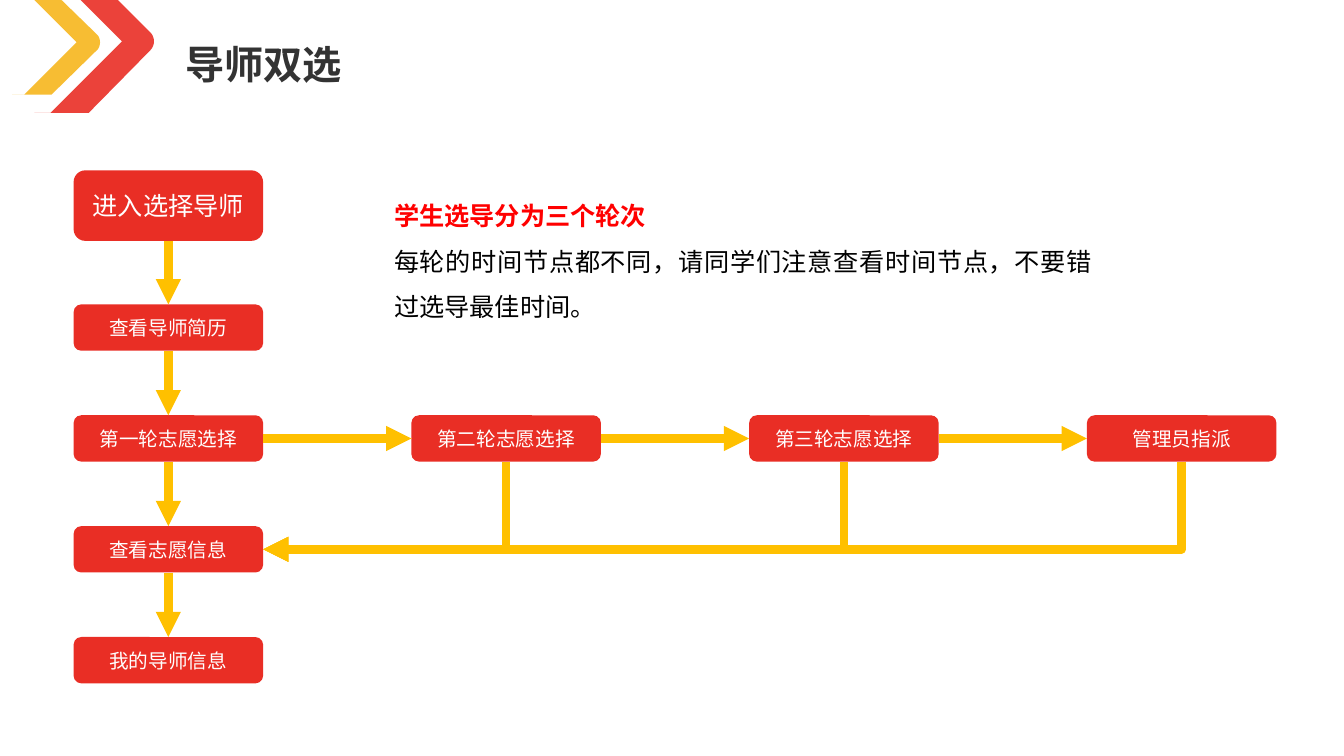
import pptx
import pptx.util
import pptx.dml.color
import pptx.enum.shapes
import pptx.enum.text
import pptx.oxml.ns
from lxml import etree
from dataclasses import dataclass

Inches = pptx.util.Inches
Shape = pptx.enum.shapes.MSO_SHAPE
Link = pptx.enum.shapes.MSO_CONNECTOR
Align = pptx.enum.text.PP_ALIGN
Anchor = pptx.enum.text.MSO_ANCHOR
Fit = pptx.enum.text.MSO_AUTO_SIZE
qn = pptx.oxml.ns.qn

TOP, LEFT, DOWN, RIGHT = range(4)


@dataclass(frozen=True)
class Theme:
    red: str = "E92E25"
    gold: str = "F7B61D"
    arrow: str = "FFC000"
    alert: str = "FF0000"
    dark: str = "333333"
    black: str = "000000"
    white: str = "FFFFFF"
    head: int = 28
    body: int = 18
    small: int = 14
    weight: int = 6
    title: str = "League Spartan"
    label: str = "Arial"
    text: str = "Noto Sans CJK SC"


THEME = Theme()


def rgb(code):
    return pptx.dml.color.RGBColor.from_string(code)


def add_run(para, words, size, color, face, bold=False):
    run = para.add_run()
    run.text = words
    font = run.font
    font.size = pptx.util.Pt(size)
    font.bold = bold
    font.color.rgb = rgb(color)
    font.name = face
    etree.SubElement(run._r.get_or_add_rPr(), qn("a:ea"), typeface=THEME.text)


def paint(shape, color):
    shape.shadow.inherit = False
    shape.fill.solid()
    shape.fill.fore_color.rgb = rgb(color)
    shape.line.fill.background()


# Header: two chevrons and the title
def curve(a, b, c, d, steps=10):
    """Points along a cubic curve from a to d."""
    points = []
    for i in range(steps + 1):
        t = i / steps
        u = 1 - t
        points.append(tuple(u**3 * p + 3 * u * u * t * q + 3 * u * t * t * r + t**3 * s
                            for p, q, r, s in zip(a, b, c, d)))
    return points


def add_chevron(slide, x, y, points, color):
    spots = [(Inches(x + px), Inches(y + py)) for px, py in points]
    pen = slide.shapes.build_freeform(*spots[0])
    pen.add_line_segments(spots[1:], close=True)
    shape = pen.convert_to_shape()
    paint(shape, color)
    tint = shape._element.spPr.find(".//" + qn("a:srgbClr"))
    etree.SubElement(tint, qn("a:alpha"), val="90000")


def add_header(slide, x, y, words):
    red = [(0.34, 1.12), (0.88, 1.12),
           *curve((1.49, 0.5), (1.54, 0.45), (1.54, 0.37), (1.49, 0.32)),
           (1.17, 0), (0.8, 0), (1.21, 0.41), (0.5, 1.12)]
    gold = [(0.12, 0.94), (0.51, 0.94),
            *curve((0.97, 0.49), (1, 0.45), (1, 0.39), (0.97, 0.35)),
            (0.61, 0), (0.34, 0), (0.76, 0.42), (0.24, 0.94)]
    add_chevron(slide, x, y, red, THEME.red)
    add_chevron(slide, x, y, gold, THEME.gold)

    title = slide.shapes.title
    title.left, title.top = Inches(x + 1.74), Inches(y + 0.35)
    title.width, title.height = Inches(7.56), Inches(0.57)
    frame = title.text_frame
    frame.auto_size = Fit.NONE
    frame.vertical_anchor = Anchor.MIDDLE
    para = frame.paragraphs[0]
    para.alignment = Align.LEFT
    add_run(para, words, THEME.head, THEME.dark, THEME.title, True)


# Flow chart: one column of steps, one row of rounds
def add_step(slide, x, y, high, words, size):
    box = slide.shapes.add_shape(Shape.ROUNDED_RECTANGLE, Inches(x), Inches(y),
                                 Inches(1.88), Inches(high))
    paint(box, THEME.red)
    frame = box.text_frame
    frame.word_wrap = True
    frame.vertical_anchor = Anchor.MIDDLE
    para = frame.paragraphs[0]
    para.alignment = Align.CENTER
    add_run(para, words, size, THEME.white, THEME.label)
    return box


def style_arrow(wire):
    wire.line.color.rgb = rgb(THEME.arrow)
    wire.line.width = pptx.util.Pt(THEME.weight)
    etree.SubElement(wire.line._get_or_add_ln(), qn("a:tailEnd"), type="triangle")
    etree.SubElement(wire._element.spPr, qn("a:effectLst"))


def join(slide, start, side, end, port):
    wire = slide.shapes.add_connector(Link.STRAIGHT, 0, 0, 0, 0)
    wire.begin_connect(start, side)
    wire.end_connect(end, port)
    style_arrow(wire)


def bend(slide, start, end):
    """Run down from start, then left into the right side of end."""
    x1, y1 = start.left + start.width // 2, start.top + start.height
    x2, y2 = end.left + end.width, end.top + end.height // 2
    drop, run = y2 - y1, x1 - x2
    # The box is given before its quarter turn about the centre
    left, top = (x1 + x2 - drop) // 2, (y1 + y2 - run) // 2
    wire = slide.shapes.add_connector(Link.ELBOW, left, top, left + drop, top + run)
    props = wire._element.spPr
    props.find(qn("a:xfrm")).set("rot", "5400000")
    props.find(qn("a:prstGeom")).set("prst", "bentConnector2")
    style_arrow(wire)


def add_flow(slide, x, y):
    high, row, col, first = 0.46, 1.1, 3.35, 1.33
    steps = ["查看导师简历", "第一轮志愿选择", "查看志愿信息", "我的导师信息"]
    rounds = ["第二轮志愿选择", "第三轮志愿选择", "管理员指派"]
    chain = [add_step(slide, x, y, 0.7, "进入选择导师", THEME.body)]
    for i, words in enumerate(steps):
        chain.append(add_step(slide, x, y + first + i * row, high, words, THEME.small))
    line = [chain[2]]
    for i, words in enumerate(rounds, 1):
        line.append(add_step(slide, x + i * col, y + first + row, high, words, THEME.small))

    for start, end in zip(chain, chain[1:]):
        join(slide, start, DOWN, end, TOP)
    for start, end in zip(line, line[1:]):
        join(slide, start, RIGHT, end, LEFT)
    for start in reversed(line[1:]):
        bend(slide, start, chain[3])


# Note on the three rounds
def add_note(slide, x, y, wide, high):
    box = slide.shapes.add_textbox(Inches(x), Inches(y), Inches(wide), Inches(high))
    frame = box.text_frame
    frame.word_wrap = True
    lines = [("学生选导分为三个轮次", THEME.alert, True),
             ("每轮的时间节点都不同，请同学们注意查看时间节点，不要错过选导最佳时间。",
              THEME.black, False)]
    for i, (words, color, bold) in enumerate(lines):
        para = frame.add_paragraph() if i else frame.paragraphs[0]
        para.alignment = Align.JUSTIFY
        para.line_spacing = 1.5
        add_run(para, words, THEME.body, color, THEME.text, bold)


def main():
    deck = pptx.Presentation()
    deck.slide_width, deck.slide_height = Inches(13.33), Inches(7.5)
    slide = deck.slides.add_slide(deck.slide_layouts[5])
    add_header(slide, 0, 0, "导师双选")
    add_flow(slide, 0.73, 1.69)
    add_note(slide, 3.81, 1.79, 7.12, 1.46)
    deck.save("out.pptx")


if __name__ == "__main__":
    main()
